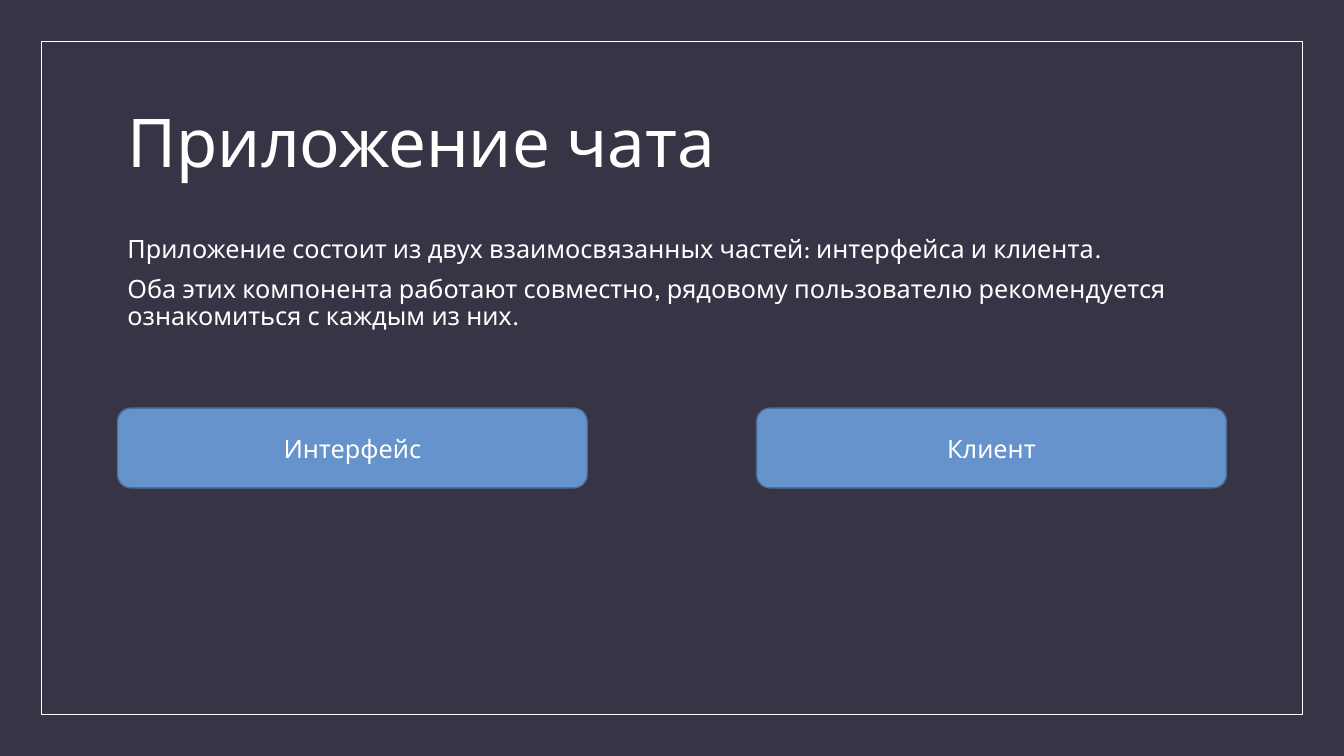
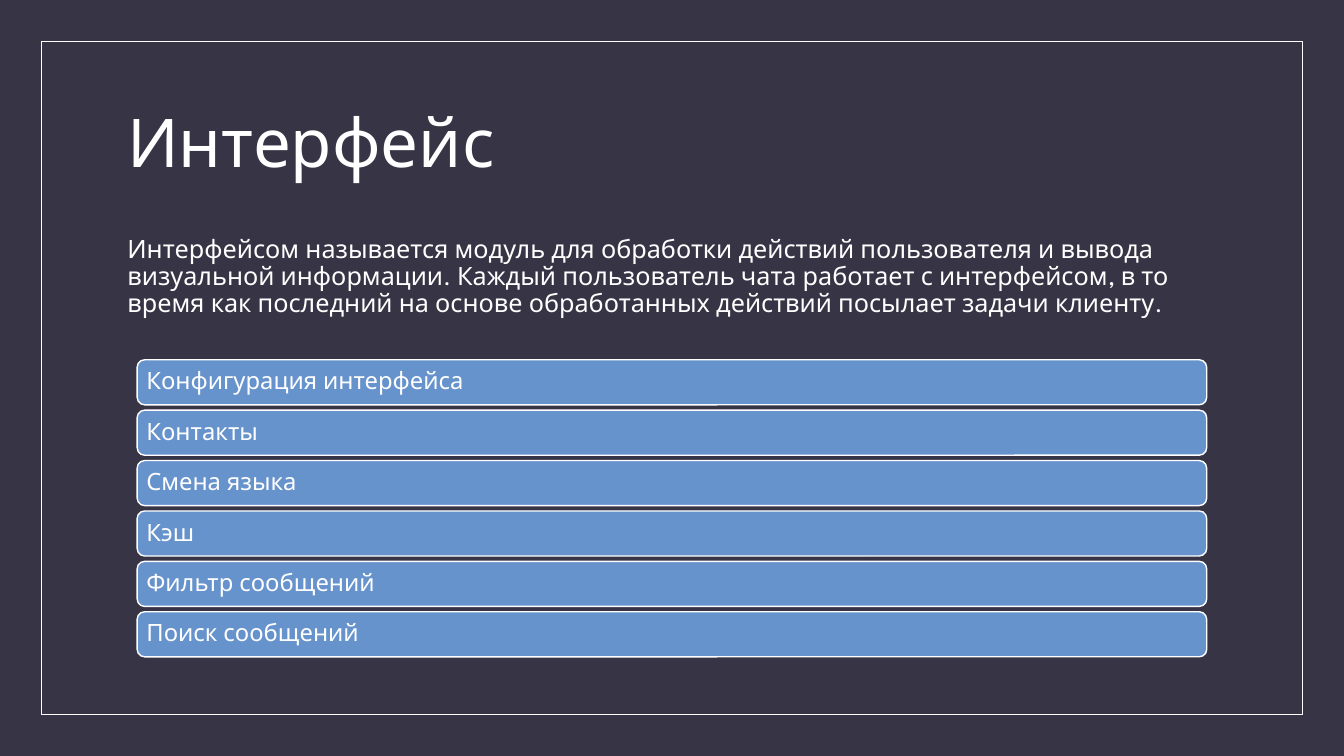
from dataclasses import dataclass

from pptx import Presentation
from pptx.dml.color import RGBColor
from pptx.enum.shapes import MSO_SHAPE
from pptx.enum.text import MSO_ANCHOR, PP_ALIGN
from pptx.util import Pt


@dataclass(frozen=True)
class Theme:
    font: str = "League Spartan"
    background: RGBColor = RGBColor(0x37, 0x35, 0x45)
    white: RGBColor = RGBColor(0xFF, 0xFF, 0xFF)
    blue: RGBColor = RGBColor(0x67, 0x93, 0xCD)
    dark_blue: RGBColor = RGBColor(0x4C, 0x6D, 0x98)
    title_size: int = 48
    body_size: int = 18
    list_size: int = 17


theme = Theme()
slide_width, slide_height = 960, 540
frame_margin = 29.5
content_left, content_width = 84, 792
button_top, button_width, button_height = 291.5, 335.5, 57
list_left, list_top, row_height, row_pitch = 98, 257, 32.2, 36

slide_contents = [
    {
        "title": "Приложение чата",
        "body": [
            "Приложение состоит из двух взаимосвязанных частей: интерфейса и клиента.",
            "Оба этих компонента работают совместно, рядовому пользователю "
            "рекомендуется ознакомиться с каждым из них.",
        ],
        "buttons": ["Интерфейс", "Клиент"],
        "rows": [],
    },
    {
        "title": "Интерфейс",
        "body": [
            "Интерфейсом называется модуль для обработки действий пользователя и вывода "
            "визуальной информации. Каждый пользователь чата работает с интерфейсом, в то "
            "время как последний на основе обработанных действий посылает задачи клиенту.",
        ],
        "buttons": [],
        "rows": [
            "Конфигурация интерфейса",
            "Контакты",
            "Смена языка",
            "Кэш",
            "Фильтр сообщений",
            "Поиск сообщений",
        ],
    },
]


def write_text(shape, texts, size, anchor=MSO_ANCHOR.MIDDLE, align=PP_ALIGN.LEFT,
               space_before=0):
    text_frame = shape.text_frame
    text_frame.word_wrap = True
    text_frame.vertical_anchor = anchor
    text_frame.text = "\n".join(texts)
    for paragraph in text_frame.paragraphs:
        paragraph.alignment = align
        paragraph.line_spacing = 0.9
        paragraph.space_before = Pt(space_before)
        paragraph.font.name = theme.font
        paragraph.font.size = Pt(size)
        paragraph.font.color.rgb = theme.white


def add_box(slide, kind, left, top, width, height, fill, line, line_width=1):
    shape = slide.shapes.add_shape(kind, Pt(left), Pt(top), Pt(width), Pt(height))
    shape.shadow.inherit = False
    if fill is None:
        shape.fill.background()
    else:
        shape.fill.solid()
        shape.fill.fore_color.rgb = fill
    shape.line.color.rgb = line
    shape.line.width = Pt(line_width)
    return shape


presentation = Presentation()
presentation.slide_width = Pt(slide_width)
presentation.slide_height = Pt(slide_height)
master_fill = presentation.slide_master.background.fill
master_fill.solid()
master_fill.fore_color.rgb = theme.background
blank_layout = presentation.slide_layouts[6]

for content in slide_contents:
    slide = presentation.slides.add_slide(blank_layout)
    add_box(slide, MSO_SHAPE.RECTANGLE, frame_margin, frame_margin,
            slide_width - 2 * frame_margin, slide_height - 2 * frame_margin,
            None, theme.white, 0.5)

    title = slide.shapes.add_textbox(Pt(content_left), Pt(50.4), Pt(content_width), Pt(108))
    write_text(title, [content["title"]], theme.title_size)

    body = slide.shapes.add_textbox(Pt(content_left), Pt(165.6), Pt(content_width), Pt(88))
    write_text(body, content["body"], theme.body_size, MSO_ANCHOR.TOP, space_before=9)

    for index, label in enumerate(content["buttons"]):
        left = content_left + index * (content_width - button_width)
        button = add_box(slide, MSO_SHAPE.ROUNDED_RECTANGLE, left, button_top,
                         button_width, button_height, theme.blue, theme.dark_blue)
        write_text(button, [label], theme.body_size, align=PP_ALIGN.CENTER)
        button.text_frame.paragraphs[0].line_spacing = 1.0

    for index, label in enumerate(content["rows"]):
        row = add_box(slide, MSO_SHAPE.ROUNDED_RECTANGLE, list_left,
                      list_top + index * row_pitch, slide_width - 2 * list_left,
                      row_height, theme.blue, theme.white)
        row.text_frame.margin_left = row.text_frame.margin_right = Pt(5)
        write_text(row, [label], theme.list_size)

presentation.save("out.pptx")
